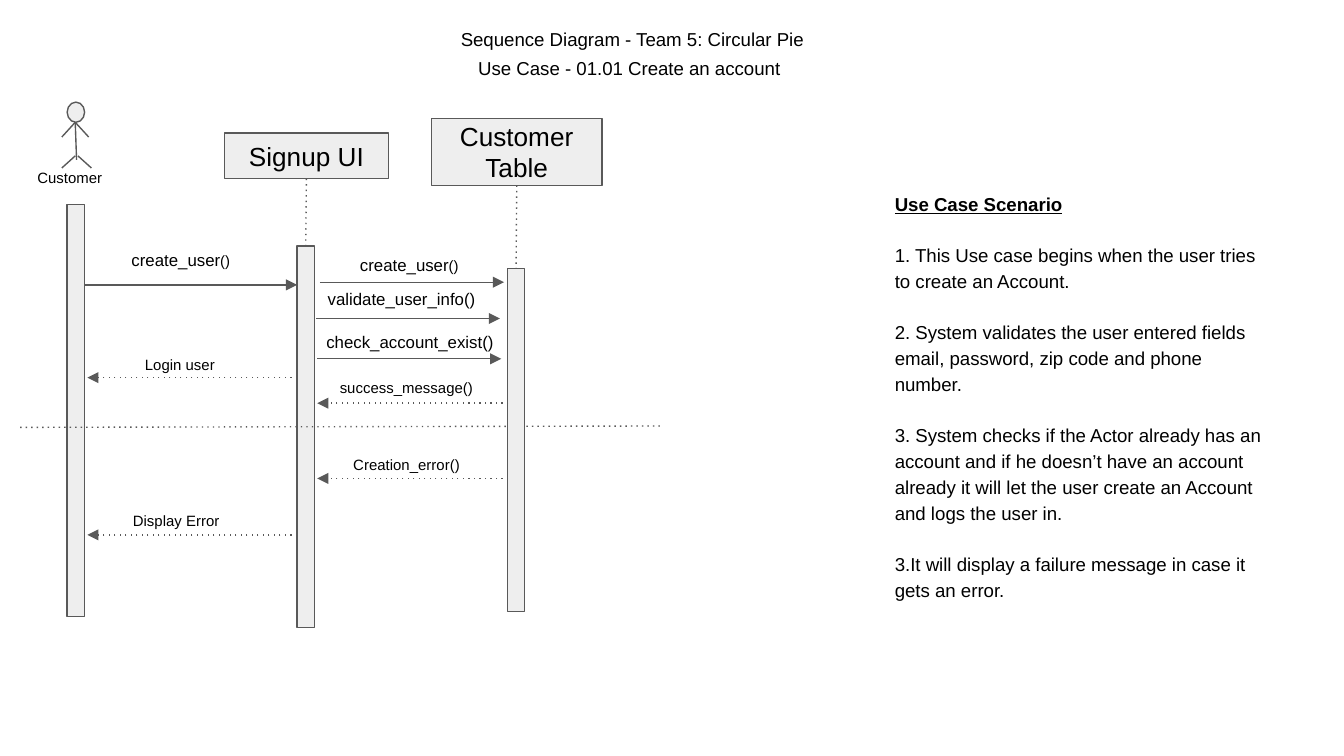
import pptx
import pptx.util
import pptx.dml.color
import pptx.enum.shapes
import pptx.enum.text
import pptx.oxml.ns
import lxml.etree

Inches = pptx.util.Inches
Pt = pptx.util.Pt
Shape = pptx.enum.shapes.MSO_SHAPE
Align = pptx.enum.text.PP_ALIGN

HUES = {"ink": "000000", "line": "595959", "fill": "EEEEEE", "page": "FFFFFF"}
FRAME = {"word_wrap": True}
FRAME.update({"margin_" + side: Inches(0.1) for side in ("left", "top", "right", "bottom")})
GROW = {"auto_size": pptx.enum.text.MSO_AUTO_SIZE.SHAPE_TO_FIT_TEXT}
MIDDLE = {"vertical_anchor": pptx.enum.text.MSO_ANCHOR.MIDDLE}
STORY = [
    "Use Case Scenario",
    "1. This Use case begins when the user tries to create an Account.",
    "2. System validates the user entered fields email, password, zip code and phone number.",
    "3. System checks if the Actor already has an account and if he doesn’t have an account "
    "already it will let the user create an Account and logs the user in.",
    "3.It will display a failure message in case it gets an error.",
]


def apply(item, values):
    for name, value in values.items():
        setattr(item, name, value)


def hue(name):
    return pptx.dml.color.RGBColor.from_string(HUES[name])


def write(para, text, size, **extra):
    run = para.add_run()
    run.text = text
    apply(run.font, {"name": "Arial", "size": Pt(size), **extra})
    run.font.color.rgb = hue("ink")


def label(slide, box, runs):
    frame = slide.shapes.add_textbox(*map(Inches, box)).text_frame
    apply(frame, {**FRAME, **GROW})
    for text, size in runs:
        write(frame.paragraphs[0], text, size)
    return frame


def block(slide, kind, box):
    shape = slide.shapes.add_shape(kind, *map(Inches, box))
    shape.shadow.inherit = False
    shape.fill.solid()
    shape.fill.fore_color.rgb = hue("fill")
    shape.line.color.rgb = hue("line")
    shape.line.width = Pt(0.75)
    return shape


def stroke(slide, start, end, dots=False, arrow=False):
    line = slide.shapes.add_connector(
        pptx.enum.shapes.MSO_CONNECTOR.STRAIGHT, *map(Inches, (*start, *end)))
    line.line.color.rgb = hue("line")
    line.line.width = Pt(0.75)
    props = line.line._get_or_add_ln()
    qn = pptx.oxml.ns.qn
    if dots:
        lxml.etree.SubElement(props, qn("a:prstDash"), val="dot")
    if arrow:
        lxml.etree.SubElement(props, qn("a:tailEnd"), type="triangle")
    lxml.etree.SubElement(line._element.spPr, qn("a:effectLst"))
    return line


def heading(slide, box):
    x, y, w, h = box
    label(slide, (x, y, w, h), [("Sequence Diagram - Team 5: Circular Pie", 10)])
    label(slide, (x + 0.13, y + 0.22, 2.61, h), [("Use Case - 01.01 Create an account", 10)])


def actor(slide, box):
    x, y, w, h = box
    mid = x + 0.38
    block(slide, Shape.OVAL, (mid - 0.06, y, 0.13, 0.15))
    neck = (mid, y + 0.15)
    stroke(slide, neck, (mid + 0.01, y + 0.43))
    for side in (-1, 1):
        stroke(slide, neck, (mid + side * 0.1, y + 0.26))
        stroke(slide, (mid + 0.01 + side * 0.01, y + 0.4), (mid + 0.01 + side * 0.11, y + 0.49))
    label(slide, (x, y + 0.43, w, 0.34), [("Customer", 8)])
    block(slide, Shape.RECTANGLE, (mid - 0.06, y + 0.76, 0.13, h - 0.76))


def lane(slide, box, name, head, top):
    x, y, w, h = box
    mid = x + w / 2
    bar = block(slide, Shape.RECTANGLE, (mid - 0.07, y + top, 0.13, h - top))
    title = block(slide, Shape.RECTANGLE, (x, y, w, head))
    frame = title.text_frame
    apply(frame, {**FRAME, **MIDDLE})
    frame.paragraphs[0].alignment = Align.CENTER
    write(frame.paragraphs[0], name, 14)
    life = stroke(slide, (mid, y + head), (mid, y + top), dots=True)
    life.begin_connect(title, 2)
    life.end_connect(bar, 0)


def flow(slide, box, rows):
    x, y, w, h = box
    for runs, left, top, width, start, end, rise, dots in rows:
        stroke(slide, (x + start, y + rise), (x + end, y + rise), dots, arrow=True)
        label(slide, (x + left, y + top, width, 0.34), runs)


def story(slide, box):
    frame = label(slide, box, [])
    for i, text in enumerate(STORY):
        para = frame.add_paragraph() if i else frame.paragraphs[0]
        para.line_spacing = 1.15
        if i:
            para.space_before = Pt(13.7)
        write(para, text, 10, bold=not i, underline=not i)


def main():
    deck = pptx.Presentation()
    wide = Inches(10)
    apply(deck, {"slide_width": wide, "slide_height": wide * 9 // 16})
    slide = deck.slides.add_slide(deck.slide_layouts[6])
    slide.background.fill.solid()
    slide.background.fill.fore_color.rgb = hue("page")

    heading(slide, (3.33, 0.12, 3.08, 0.37))
    actor(slide, (0.18, 0.76, 0.77, 3.83))
    lane(slide, (1.67, 0.99, 1.22, 3.68), "Signup UI", 0.34, 0.84)
    stroke(slide, (0.15, 3.18), (4.93, 3.17), dots=True)
    lane(slide, (3.21, 0.88, 1.27, 3.67), "Customer Table", 0.5, 1.12)

    create = [("create_user", 9), ("()", 8)]
    flow(slide, (0.63, 1.78, 1.58, 2.3), [
        (create, 0.25, 0, 1.15, 0, 1.58, 0.34, False),
        ([("Login user", 8)], 0.35, 0.8, 1.2, 1.58, 0.02, 1.03, True),
        ([("Display Error", 8)], 0.26, 1.96, 1.22, 1.58, 0.02, 2.2, True),
    ])
    flow(slide, (2.34, 1.82, 1.44, 1.84), [
        (create, 0.24, 0, 1.15, 0.04, 1.41, 0.28, False),
        ([("validate_user_info()", 9)], 0, 0.25, 1.77, 0.01, 1.38, 0.55, False),
        ([("check_account_exist()", 9)], -0.01, 0.57, 1.77, 0.02, 1.39, 0.85, False),
        ([("success_message()", 8)], 0.09, 0.93, 1.27, 1.44, 0.02, 1.18, True),
        ([("Creation_error()", 8)], 0.19, 1.5, 1.08, 1.44, 0.02, 1.74, True),
    ])
    story(slide, (6.56, 1.31, 2.97, 3.27))
    deck.save("out.pptx")


if __name__ == "__main__":
    main()
